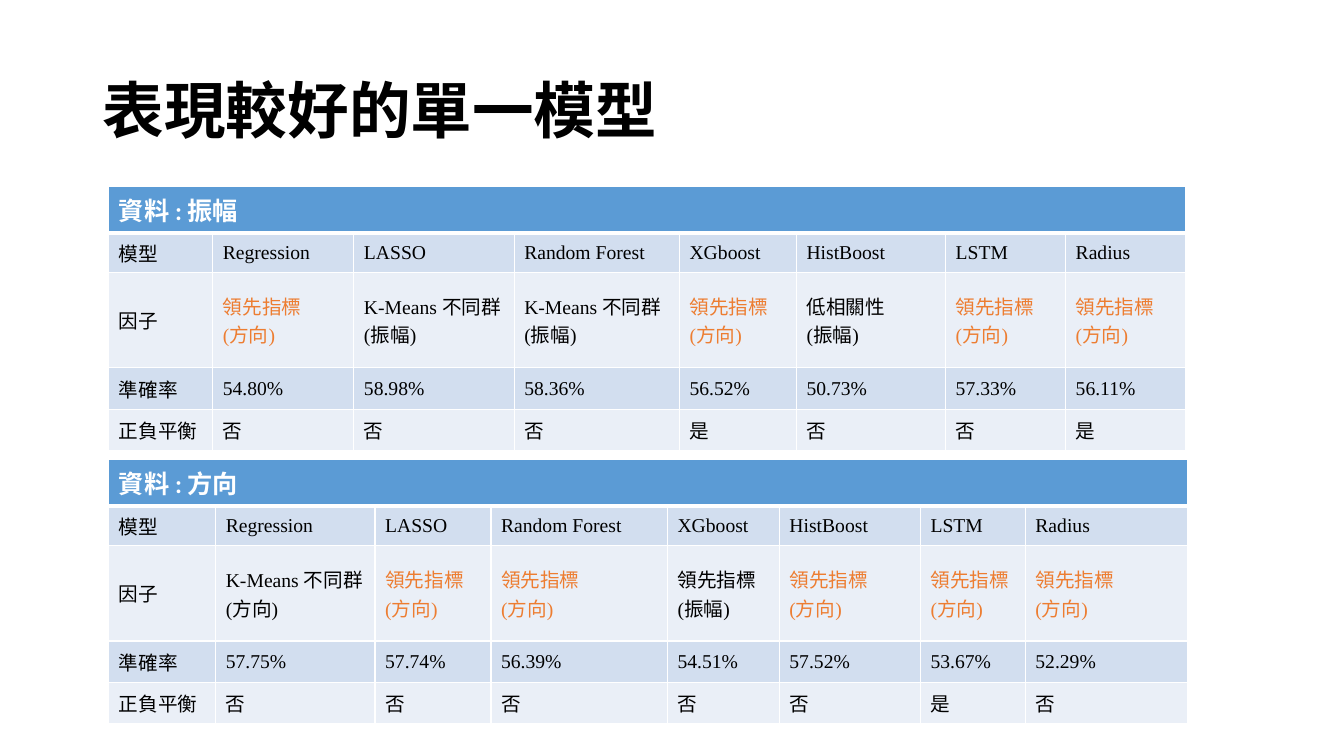
import pptx
import pptx.util
import pptx.dml.color
import pptx.enum.text
import pptx.oxml
import pptx.oxml.ns
from dataclasses import dataclass

Inches = pptx.util.Inches
MIDDLE = pptx.enum.text.MSO_ANCHOR.MIDDLE


@dataclass(frozen=True)
class Theme:
    black: str = "000000"
    white: str = "FFFFFF"
    header: str = "5B9BD5"
    bands: tuple = ("D2DEEF", "EAEFF7")
    leading: str = "ED7D31"
    cjk_font: str = "Noto Sans CJK SC"
    header_font: str = "Calibri"
    body_font: str = "Times New Roman"
    title_size: int = 44
    header_size: int = 18
    body_size: int = 14
    border: int = 1
    header_border: int = 3


THEME = Theme()
ROW_HEIGHTS = [0.46, 0.39, 0.95, 0.41, 0.41]
LEADING_FACTOR = "領先指標\n(方向)"
MODELS = ["模型", "Regression", "LASSO", "Random Forest", "XGboost", "HistBoost", "LSTM", "Radius"]

AMPLITUDE_ROWS = [
    MODELS,
    ["因子", LEADING_FACTOR, "K-Means 不同群\n(振幅)", "K-Means 不同群\n(振幅)",
     LEADING_FACTOR, "低相關性\n(振幅)", LEADING_FACTOR, LEADING_FACTOR],
    ["準確率", "54.80%", "58.98%", "58.36%", "56.52%", "50.73%", "57.33%", "56.11%"],
    ["正負平衡", "否", "否", "否", "是", "否", "否", "是"],
]
DIRECTION_ROWS = [
    MODELS,
    ["因子", "K-Means 不同群\n(方向)", LEADING_FACTOR, LEADING_FACTOR,
     "領先指標(振幅)", LEADING_FACTOR, LEADING_FACTOR, LEADING_FACTOR],
    ["準確率", "57.75%", "57.74%", "56.39%", "54.51%", "57.52%", "53.67%", "52.29%"],
    ["正負平衡", "否", "否", "否", "否", "否", "是", "否"],
]


def rgb(value):
    return pptx.dml.color.RGBColor.from_string(value)


def write_text(frame, text, *, size, font, color, bold=False, spacing=None):
    for index, line in enumerate(text.split("\n")):
        para = frame.add_paragraph() if index else frame.paragraphs[0]
        if spacing:
            para.line_spacing = spacing
        span = para.add_run()
        span.text = line
        span.font.size = pptx.util.Pt(size)
        span.font.name = font
        span.font.bold = bold
        span.font.color.rgb = rgb(color)
        properties = span.font._element
        properties.set("lang", "zh-TW")
        east_asian = pptx.oxml.parse_xml(
            f'<a:ea {pptx.oxml.ns.nsdecls("a")} typeface="{THEME.cjk_font}"/>')
        properties.find(pptx.oxml.ns.qn("a:latin")).addnext(east_asian)


def style_cell(cell, fill, *, top=THEME.border, bottom=THEME.border):
    properties = cell._tc.get_or_add_tcPr()
    widths = {"lnL": THEME.border, "lnR": THEME.border, "lnT": top, "lnB": bottom}
    for side, width in widths.items():
        properties.append(pptx.oxml.parse_xml(
            f'<a:{side} {pptx.oxml.ns.nsdecls("a")} w="{pptx.util.Pt(width)}">'
            f'<a:solidFill><a:srgbClr val="{THEME.white}"/></a:solidFill></a:{side}>'))
    cell.fill.solid()
    cell.fill.fore_color.rgb = rgb(fill)
    cell.vertical_anchor = MIDDLE


def add_title(page, text):
    box = page.shapes.add_textbox(Inches(0.92), Inches(0.4), Inches(11.5), Inches(1.45))
    frame = box.text_frame
    frame.word_wrap = True
    frame.vertical_anchor = MIDDLE
    write_text(frame, text, size=THEME.title_size, font=THEME.cjk_font,
               color=THEME.black, bold=True, spacing=0.9)


def add_result_table(page, heading, rows, *, top, widths):
    table = page.shapes.add_table(
        len(ROW_HEIGHTS), len(widths), Inches(1.08), Inches(top),
        Inches(sum(widths)), Inches(sum(ROW_HEIGHTS))).table
    for column, width in zip(table.columns, widths):
        column.width = Inches(width)
    for row, height in zip(table.rows, ROW_HEIGHTS):
        row.height = Inches(height)

    for column in range(len(widths)):
        style_cell(table.cell(0, column), THEME.header, bottom=THEME.header_border)
    table.cell(0, 0).merge(table.cell(0, len(widths) - 1))
    write_text(table.cell(0, 0).text_frame, heading, size=THEME.header_size,
               font=THEME.header_font, color=THEME.white, bold=True)

    for row, values in enumerate(rows, start=1):
        top_border = THEME.header_border if row == 1 else THEME.border
        for column, value in enumerate(values):
            cell = table.cell(row, column)
            style_cell(cell, THEME.bands[(row - 1) % 2], top=top_border)
            color = THEME.leading if value == LEADING_FACTOR else THEME.black
            write_text(cell.text_frame, value, size=THEME.body_size,
                       font=THEME.body_font, color=color)


def main():
    deck = pptx.Presentation()
    deck.slide_width = Inches(13.33)
    deck.slide_height = Inches(7.5)
    page = deck.slides.add_slide(deck.slide_layouts[6])
    add_title(page, "表現較好的單一模型")
    add_result_table(page, "資料 : 振幅", AMPLITUDE_ROWS, top=1.85,
                     widths=[1.03, 1.4, 1.59, 1.64, 1.16, 1.48, 1.19, 1.19])
    add_result_table(page, "資料 : 方向", DIRECTION_ROWS, top=4.56,
                     widths=[1.06, 1.58, 1.15, 1.75, 1.11, 1.4, 1.04, 1.61])
    deck.save("out.pptx")


if __name__ == "__main__":
    main()
